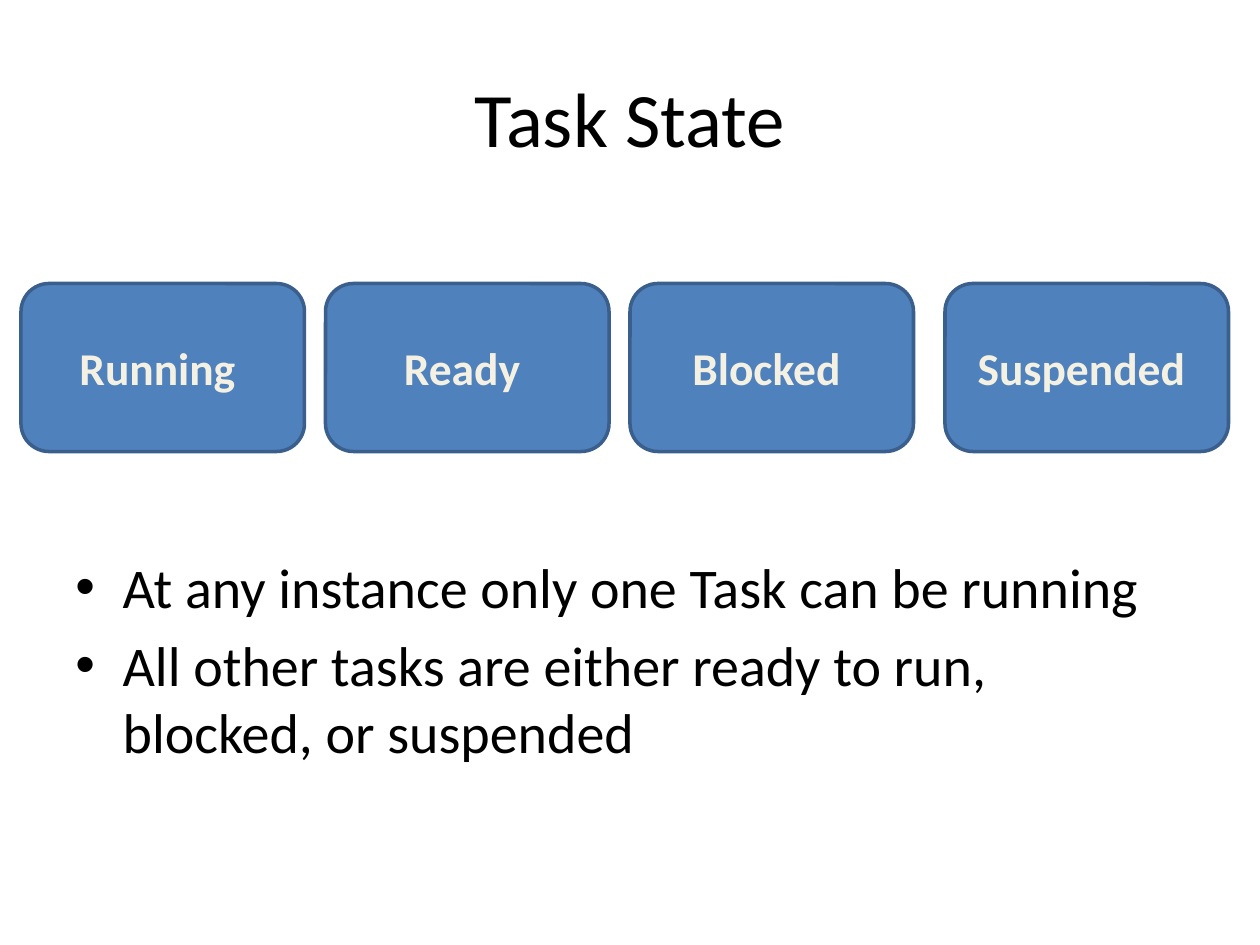
from dataclasses import dataclass
from lxml import etree
from pptx import Presentation
from pptx.dml.color import RGBColor
from pptx.enum.shapes import MSO_SHAPE
from pptx.enum.text import MSO_ANCHOR, PP_ALIGN
from pptx.oxml.ns import qn
from pptx.util import Pt

ROUND = MSO_SHAPE.ROUNDED_RECTANGLE
TOP, MIDDLE = MSO_ANCHOR.TOP, MSO_ANCHOR.MIDDLE
LEFT, CENTER = PP_ALIGN.LEFT, PP_ALIGN.CENTER


@dataclass
class Theme:
    """Colours, font and type sizes of the slide."""
    font: str = "Calibri"
    ink: str = "000000"
    cream: str = "F4F1E3"
    blue: str = "4F81BD"
    edge: str = "3A5F8C"
    title: int = 44
    body: int = 32
    label: int = 26


theme = Theme()


def write(shape, lines, size, color=theme.ink, bold=False,
          align=CENTER, anchor=MIDDLE, bullet=None):
    """Fill a shape with one paragraph per line, bulleted if asked."""
    frame = shape.text_frame
    frame.word_wrap = True
    frame.vertical_anchor = anchor
    for i, line in enumerate(lines):
        para = frame.add_paragraph() if i else frame.paragraphs[0]
        para.alignment = align
        run = para.add_run()
        run.text = line
        font = run.font
        font.name, font.size, font.bold = theme.font, Pt(size), bold
        font.color.rgb = RGBColor.from_string(color)
        if bullet:
            para.space_before = Pt(size * 0.2)
            props = para._p.get_or_add_pPr()
            props.set("marL", str(Pt(27)))
            props.set("indent", str(Pt(-27)))
            etree.SubElement(props, qn("a:buFont"), typeface="Arial")
            etree.SubElement(props, qn("a:buChar"), char=bullet)


deck = Presentation()
deck.slide_width, deck.slide_height = Pt(720), Pt(540)
slide = deck.slides.add_slide(deck.slide_layouts[6])
shapes = slide.shapes

title = shapes.add_textbox(Pt(36), Pt(21.6), Pt(648), Pt(90))
write(title, ["Task State"], theme.title)

body = shapes.add_textbox(Pt(36), Pt(312), Pt(648), Pt(170.5))
write(body, ["At any instance only one Task can be running",
             "All other tasks are either ready to run, blocked, or suspended"],
      theme.body, align=LEFT, anchor=TOP, bullet="•")

states = {"Running ": 12, "Ready ": 186, "Blocked ": 360, "Suspended ": 540}
for name, left in states.items():
    box = shapes.add_shape(ROUND, Pt(left), Pt(162), Pt(162), Pt(96))
    box.shadow.inherit = False
    box.fill.solid()
    box.fill.fore_color.rgb = RGBColor.from_string(theme.blue)
    box.line.color.rgb = RGBColor.from_string(theme.edge)
    box.line.width = Pt(2)
    write(box, [name], theme.label, color=theme.cream, bold=True)

deck.save("out.pptx")
